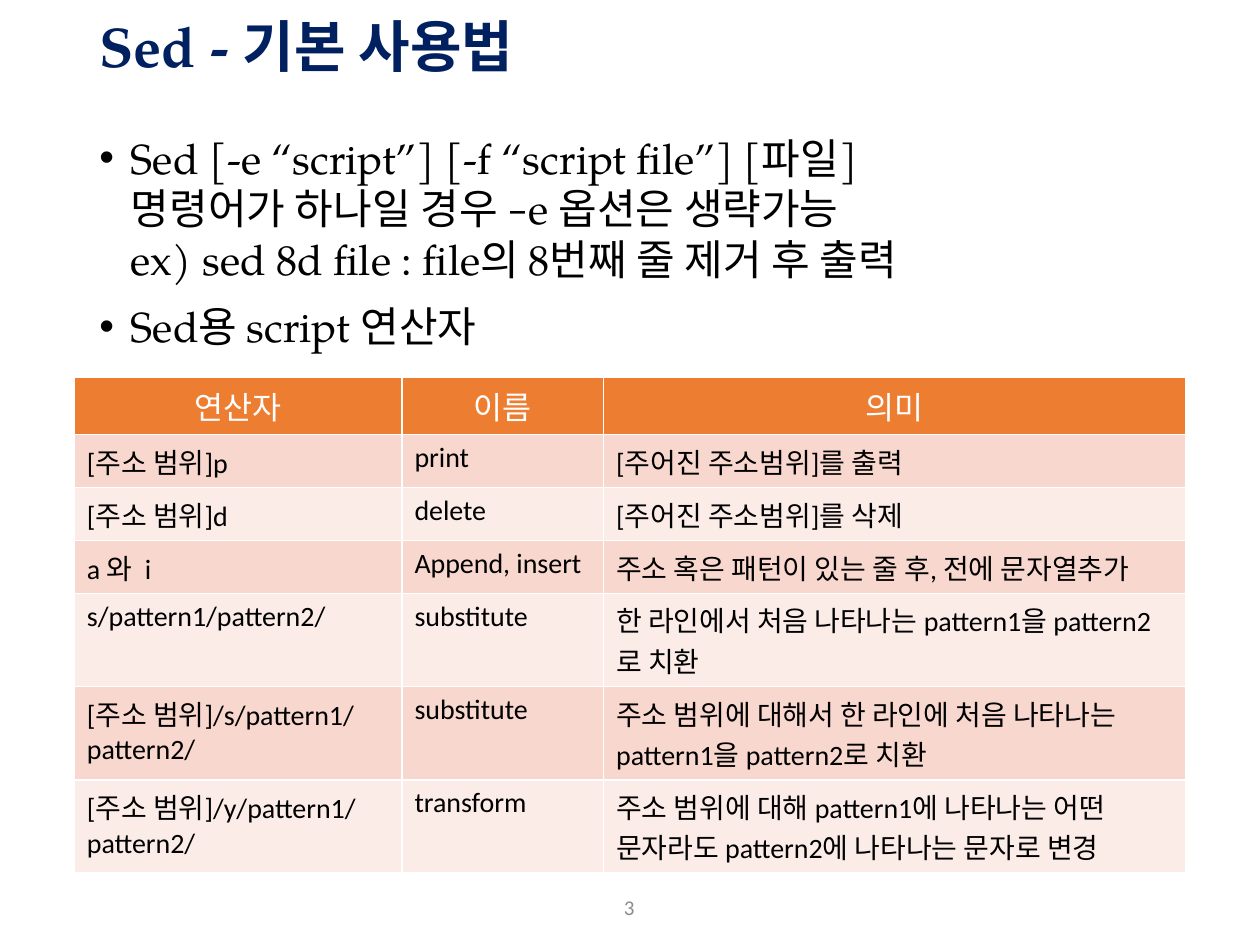
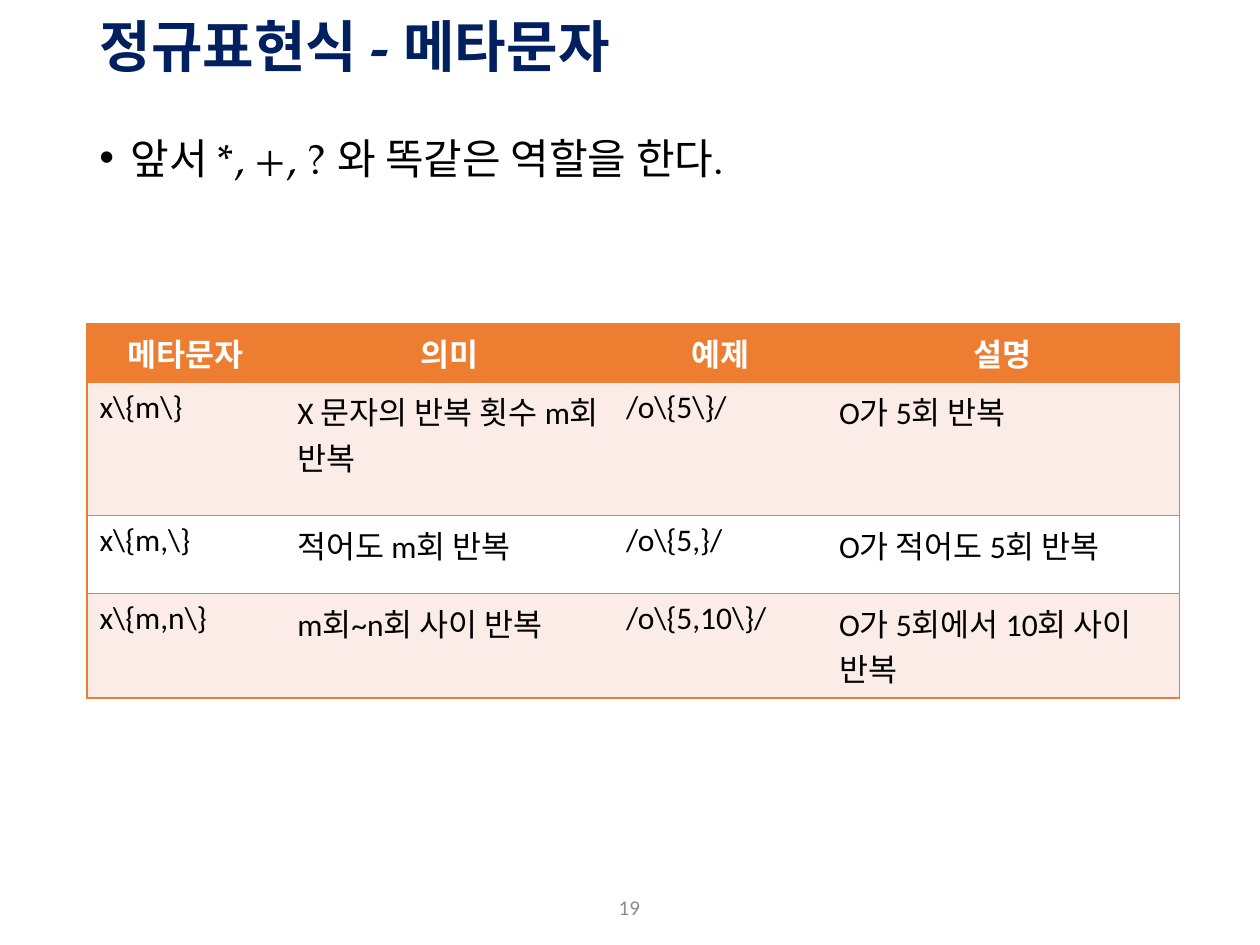
from copy import deepcopy

from pptx import Presentation
from pptx import util as u
from pptx.dml.color import RGBColor
from pptx.enum import text
from pptx.oxml.ns import qn
from lxml import etree

NAVY = RGBColor(0x00, 0x20, 0x60)
ORANGE = RGBColor(0xED, 0x7D, 0x31)
ROSE = RGBColor(0xF8, 0xD7, 0xCE)
PALE = RGBColor(0xFC, 0xEC, 0xE8)
WHITE = RGBColor(0xFF, 0xFF, 0xFF)
BLACK = RGBColor(0, 0, 0)
GREY = RGBColor(0x8C, 0x8C, 0x8C)
SERIF, SANS = "TeX Gyre Pagella", "Calibri"
LEFT, CENTER = text.PP_ALIGN.LEFT, text.PP_ALIGN.CENTER
MIDDLE, TOP = text.MSO_ANCHOR.MIDDLE, text.MSO_ANCHOR.TOP
NO_STYLE_NO_GRID = "{2D5ABB26-0587-4C30-8999-92F81FD0307C}"

SED_BULLETS = [
    "Sed [-e “script”] [-f “script file”] [파일]\n"
    "명령어가 하나일 경우 –e 옵션은 생략가능\n"
    "ex) sed 8d file : file의 8번째 줄 제거 후 출력",
    "Sed용 script 연산자",
]
SED_OPERATORS = [
    ("연산자", "이름", "의미"),
    ("[주소 범위]p", "print", "[주어진 주소범위]를 출력"),
    ("[주소 범위]d", "delete", "[주어진 주소범위]를 삭제"),
    ("a 와  i", "Append, insert", "주소 혹은 패턴이 있는 줄 후, 전에 문자열추가"),
    ("s/pattern1/pattern2/", "substitute",
     "한 라인에서 처음 나타나는 pattern1을 pattern2로 치환"),
    ("[주소 범위]/s/pattern1/\npattern2/", "substitute",
     "주소 범위에 대해서 한 라인에 처음 나타나는 pattern1을 pattern2로 치환"),
    ("[주소 범위]/y/pattern1/\npattern2/", "transform",
     "주소 범위에 대해 pattern1에 나타나는 어떤 문자라도 "
     "pattern2에 나타나는 문자로 변경"),
]
META_BULLETS = ["앞서 *, +, ? 와 똑같은 역할을 한다."]
META_CHARACTERS = [
    ("메타문자", "의미", "예제", "설명"),
    (r"x\{m\}", "X 문자의 반복 횟수 m회 반복", r"/o\{5\}/", "O가 5회 반복"),
    (r"x\{m,\}", "적어도 m회 반복", r"/o\{5,}/", "O가 적어도 5회 반복"),
    (r"x\{m,n\}", "m회~n회 사이 반복", r"/o\{5,10\}/", "O가 5회에서 10회 사이 반복"),
]


def write(para, content, size=18, font=SANS, color=BLACK, bold=False, align=LEFT):
    """Fill a paragraph; a newline in the content becomes a line break."""
    para.alignment = align
    for index, line in enumerate(content.split("\n")):
        if index:
            para.add_line_break()
        span = para.add_run()
        span.text = line
        span.font.size = u.Pt(size)
        span.font.bold = bold
        span.font.color.rgb = color
        span.font.name = font
        if font == SERIF:  # Hangul stays sans serif beside the serif Latin
            etree.SubElement(span.font._element, qn("a:ea"), typeface=SANS)
    for line_break in para._p.findall(qn("a:br")):
        line_break.append(deepcopy(span.font._element))


def add_box(page, left, top, width, height, anchor):
    box = page.shapes.add_textbox(*map(u.Inches, (left, top, width, height)))
    box.text_frame.word_wrap = True
    box.text_frame.vertical_anchor = anchor
    return box.text_frame


def add_page(deck, title, number):
    """Add a slide with its title and its page number."""
    page = deck.slides.add_slide(deck.slide_layouts[5])
    holder = page.shapes.title
    holder.left, holder.top = u.Inches(0.69), u.Inches(0.11)
    holder.width, holder.height = u.Inches(8.62), u.Inches(0.57)
    frame = holder.text_frame
    frame.auto_size = text.MSO_AUTO_SIZE.NONE
    frame.vertical_anchor = MIDDLE
    frame.paragraphs[0].line_spacing = 0.9
    write(frame.paragraphs[0], title, size=32, font=SERIF, color=NAVY, bold=True)
    footer = add_box(page, 4.76, 7, 0.47, 0.4, MIDDLE)
    write(footer.paragraphs[0], str(number), size=12, color=GREY, align=CENTER)
    return page


def add_bullets(page, items):
    frame = add_box(page, 0.69, 1, 8.62, 5.68, TOP)
    for index, item in enumerate(items):
        para = frame.add_paragraph() if index else frame.paragraphs[0]
        write(para, item, size=24, font=SERIF)
        para.space_before = u.Pt(10)
        props = para._p.get_or_add_pPr()
        props.set("marL", str(u.Inches(0.25)))
        props.set("indent", str(u.Inches(-0.25)))
        etree.SubElement(props, qn("a:buFont"), typeface="Arial")
        etree.SubElement(props, qn("a:buChar"), char="•")


def set_borders(cell, **sides):
    """Draw the edges named L, R, T and B, in that order; None leaves one out."""
    props = cell._tc.get_or_add_tcPr()
    drawn = [(side, color) for side, color in sides.items() if color is not None]
    for index, (side, color) in enumerate(drawn):
        line = etree.Element(qn(f"a:ln{side}"), w=str(u.Pt(1)))
        fill = etree.SubElement(line, qn("a:solidFill"))
        etree.SubElement(fill, qn("a:srgbClr"), val=str(color))
        etree.SubElement(line, qn("a:prstDash"), val="solid")
        props.insert(index, line)


def add_grid(page, left, top, rows, widths, heights, bands, size, bold_head, border,
             inner):
    """Add a table whose body rows alternate between the two band colours."""
    frame = page.shapes.add_table(
        len(rows), len(widths), u.Inches(left), u.Inches(top),
        u.Inches(sum(widths)), u.Inches(sum(heights)))
    table = frame.table
    table._tbl.tblPr.find(qn("a:tableStyleId")).text = NO_STYLE_NO_GRID
    for column, width in zip(table.columns, widths):
        column.width = u.Inches(width)
    last = len(widths) - 1
    for r, (values, height) in enumerate(zip(rows, heights)):
        table.rows[r].height = u.Inches(height)
        for c, value in enumerate(values):
            cell = table.cell(r, c)
            cell.fill.solid()
            para = cell.text_frame.paragraphs[0]
            if r == 0:
                cell.fill.fore_color.rgb = ORANGE
                write(para, value, color=WHITE, bold=bold_head, align=CENTER)
            else:
                cell.fill.fore_color.rgb = bands[(r - 1) % 2]
                write(para, value, size=size)
            set_borders(cell, L=border if c == 0 else inner,
                        R=border if c == last else inner, T=border, B=border)


def main():
    deck = Presentation()
    deck.slide_width, deck.slide_height = u.Inches(10), u.Inches(7.5)

    page = add_page(deck, "Sed - 기본 사용법", 3)
    add_bullets(page, SED_BULLETS)
    add_grid(page, 0.59, 2.99, SED_OPERATORS, (2.6, 1.6, 4.62),
             [0.46] + [0.42] * 3 + [0.74] * 3, (ROSE, PALE), size=16,
             bold_head=False, border=WHITE, inner=WHITE)

    page = add_page(deck, "정규표현식 - 메타문자", 19)
    add_bullets(page, META_BULLETS)
    add_grid(page, 0.69, 2.57, META_CHARACTERS, (1.57, 2.61, 1.69, 2.8),
             (0.46, 1.06, 0.62, 0.83), (PALE, WHITE), size=18,
             bold_head=True, border=ORANGE, inner=None)

    deck.save("out.pptx")


if __name__ == "__main__":
    main()
